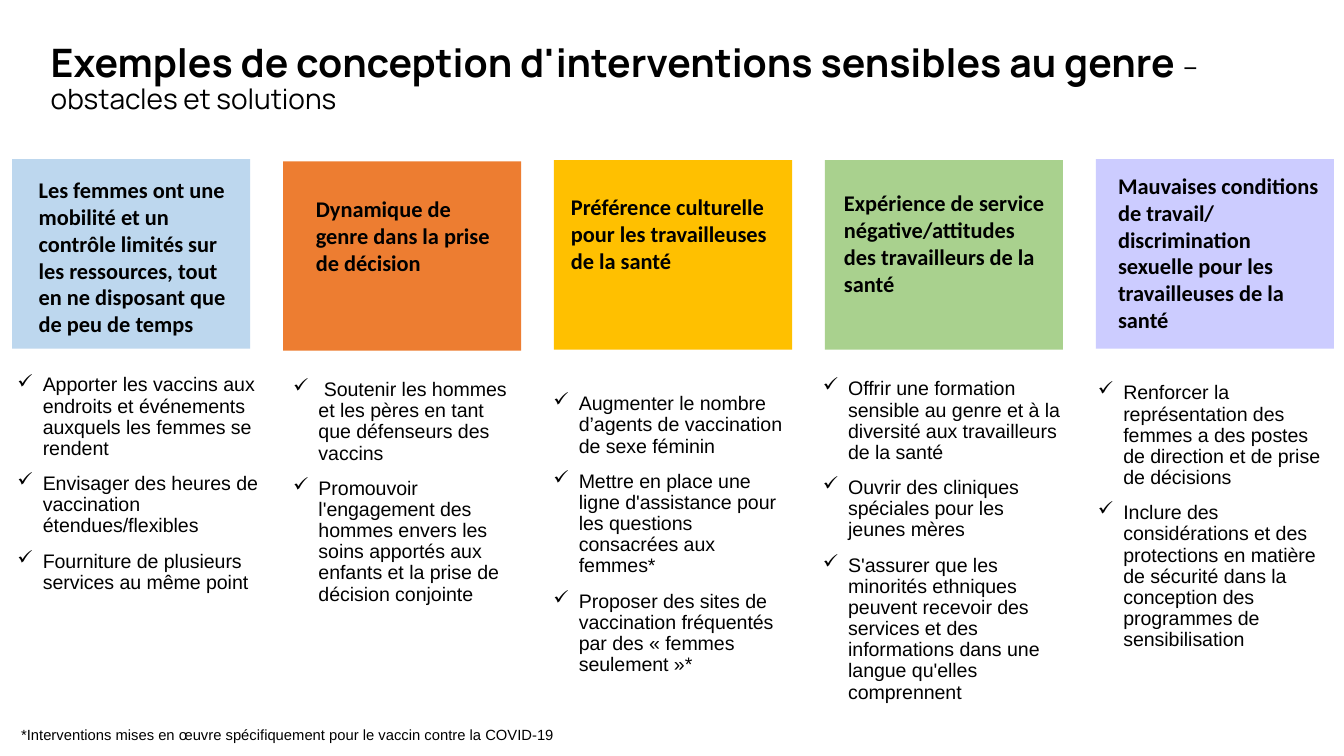
from lxml import etree
from pptx import Presentation
from pptx import util as u
from pptx.dml.color import RGBColor
from pptx.enum import shapes, text
from pptx.oxml.ns import qn

HUES = {
    "ink": "000000",
    "blue": "BDD7EE",
    "rust": "ED7D31",
    "gold": "FFC000",
    "green": "A9D18E",
    "lilac": "CCCCFF",
}

MID = text.MSO_ANCHOR.MIDDLE
TOP = text.MSO_ANCHOR.TOP
SLIM = (0.18, 0.1)
WIDE = (0.25, 0.13)

CARDS = [
    ("blue", 3.01, (0.48, 3.2, 4.34, 3.33),
     "Les femmes ont une mobilité et un contrôle limités sur les ressources, "
     "tout en ne disposant que de peu de temps"),
    ("rust", 3.05, (5.72, 3.56, 4.14, 1.8),
     "Dynamique de genre dans la prise de décision"),
    ("gold", 3.03, (10.54, 3.53, 4.52, 1.8),
     "Préférence culturelle pour les travailleuses de la santé"),
    ("green", 3.03, (15.7, 3.45, 4.42, 2.31),
     "Expérience de service négative/attitudes des travailleurs de la santé"),
    ("lilac", 3.01, (20.88, 3.12, 4.32, 3.33),
     "Mauvaises conditions de travail/ discrimination sexuelle pour les "
     "travailleuses de la santé"),
]

LISTS = [
    ((0.15, 7.39, 5.21, 3.53), MID, SLIM, [
        "Apporter les vaccins aux endroits et événements auxquels les femmes se rendent ",
        "Envisager des heures de vaccination étendues/flexibles",
        "Fourniture de plusieurs services au même point"]),
    ((5.36, 8.41, 4.5, 1.8), MID, SLIM, [
        " Soutenir les hommes et les pères en tant que défenseurs des vaccins",
        "Promouvoir l'engagement des hommes envers les soins apportés aux enfants "
        "et la prise de décision conjointe"]),
    ((10.21, 9.07, 4.88, 2.08), MID, WIDE, [
        "Augmenter le nombre d’agents de vaccination de sexe féminin",
        "Mettre en place une ligne d'assistance pour les questions consacrées aux femmes*",
        "Proposer des sites de vaccination fréquentés par des « femmes seulement »*"]),
    ((15.37, 9.19, 4.9, 2.08), MID, SLIM, [
        "Offrir une formation sensible au genre et à la diversité aux travailleurs de la santé",
        "Ouvrir des cliniques spéciales pour les jeunes mères",
        "S'assurer que les minorités ethniques peuvent recevoir des services et des "
        "informations dans une langue qu'elles comprennent"]),
    ((20.57, 7.14, 4.72, 5.33), TOP, SLIM, [
        "Renforcer la représentation des femmes a des postes de direction et de prise "
        "de décisions",
        "Inclure des considérations et des protections en matière de sécurité dans la "
        "conception des programmes de sensibilisation"]),
]


def write(para, words, size=10.5, face="Arial", bold=False, hue="ink"):
    run = para.add_run()
    run.text = words
    font = run.font
    font.size, font.name, font.bold = u.Pt(size), face, bold
    font.color.rgb = RGBColor.from_string(HUES[hue])


def add_box(slide, place, anchor=TOP, inset=WIDE):
    frame = slide.shapes.add_textbox(*map(u.Cm, place)).text_frame
    frame.word_wrap = True
    frame.vertical_anchor = anchor
    frame.margin_left = frame.margin_right = u.Cm(inset[0])
    frame.margin_top = frame.margin_bottom = u.Cm(inset[1])
    return frame


def add_card(slide, left, top, hue):
    card = slide.shapes.add_shape(
        shapes.MSO_SHAPE.RECTANGLE, u.Cm(left), u.Cm(top), u.Cm(4.5), u.Cm(3.58))
    card.shadow.inherit = False
    card.fill.solid()
    card.fill.fore_color.rgb = RGBColor.from_string(HUES[hue])
    card.line.fill.background()


def add_tick(para):
    props = para._p.get_or_add_pPr()
    props.set("marL", str(u.Cm(0.48)))
    props.set("indent", str(-u.Cm(0.48)))
    etree.SubElement(props, qn("a:buChar")).set("char", "✓")


def add_list(slide, place, anchor, inset, items):
    frame = add_box(slide, place, anchor, inset)
    for i, item in enumerate(items):
        para = frame.add_paragraph() if i else frame.paragraphs[0]
        add_tick(para)
        para.line_spacing = 0.9
        para.space_before = u.Pt(7.5 if i else 0)
        write(para, item)


def main():
    deck = Presentation()
    deck.slide_width, deck.slide_height = u.Cm(25.4), u.Cm(14.29)
    slide = deck.slides.add_slide(deck.slide_layouts[6])

    title = add_box(slide, (0.71, 0.69, 23.8, 1.65)).paragraphs[0]
    title.line_spacing = 0.9
    write(title, "Exemples de conception d'interventions sensibles au genre ",
          size=21, face="Manrope", bold=True)
    write(title, "– obstacles et solutions", size=15, face="Manrope")

    for i, (hue, top, place, words) in enumerate(CARDS):
        add_card(slide, 0.23 + i * 5.12, top, hue)
        head = add_box(slide, place).paragraphs[0]
        write(head, words, size=12, face="Calibri", bold=True)

    for row in LISTS:
        add_list(slide, *row)

    note = add_box(slide, (0.15, 13.59, 11.02, 0.58)).paragraphs[0]
    write(note, "*Interventions mises en œuvre spécifiquement pour le vaccin "
                "contre la COVID-19", size=7.9)
    deck.save("out.pptx")


if __name__ == "__main__":
    main()
